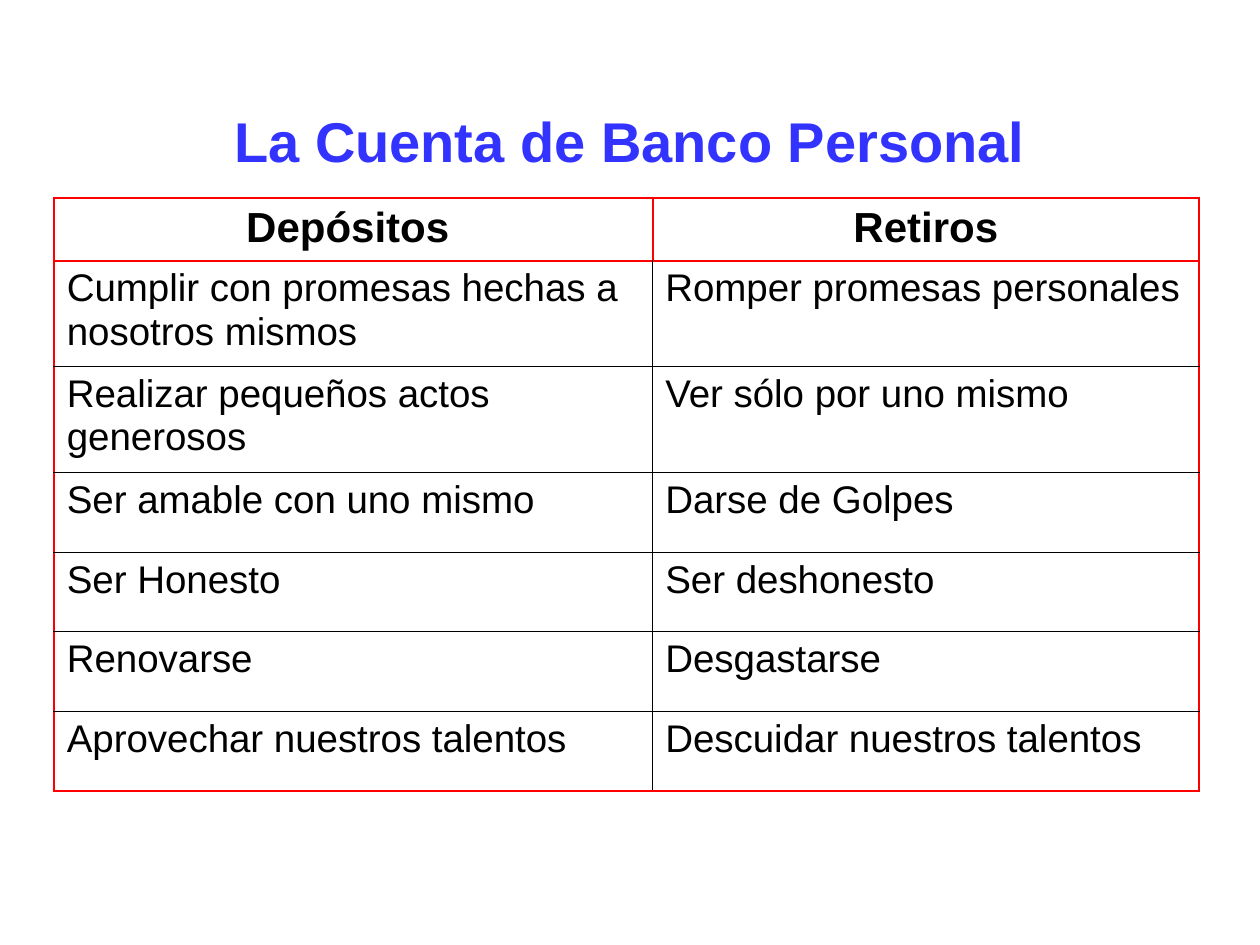
from lxml import etree
from pptx import Presentation
from pptx.dml.color import RGBColor
from pptx.enum.text import MSO_ANCHOR, PP_ALIGN
from pptx.oxml.ns import qn
from pptx.util import Pt

CENTER, LEFT = PP_ALIGN.CENTER, PP_ALIGN.LEFT
MIDDLE, TOP = MSO_ANCHOR.MIDDLE, MSO_ANCHOR.TOP
FONT = "Arial"
BLUE, RED, BLACK = "3333FF", "FF0000", "000000"
THICK, THIN = (RED, 1.47), (BLACK, 0.45)
WIDTHS = [342, 312]
HEIGHTS = [36, 60.5, 60.5] + [45.5] * 4
ROWS = [
    ("Depósitos ", "Retiros"),
    ("Cumplir con promesas hechas a nosotros mismos", "Romper promesas personales"),
    ("Realizar pequeños actos generosos", "Ver sólo por uno mismo"),
    ("Ser amable con uno mismo", "Darse de Golpes"),
    ("Ser Honesto", "Ser deshonesto"),
    ("Renovarse", "Desgastarse"),
    ("Aprovechar nuestros talentos", "Descuidar nuestros talentos"),
]


def color(code):
    return RGBColor.from_string(code)


def write(frame, text, size, code, bold, align, before=0):
    para = frame.paragraphs[0]
    para.alignment = align
    para.space_before = Pt(before)
    run = para.add_run()
    run.text = text
    run.font.name = FONT
    run.font.size = Pt(size)
    run.font.bold = bold
    run.font.color.rgb = color(code)


def border(cell, sides):
    props = cell._tc.get_or_add_tcPr()
    for spot, (side, (code, width)) in enumerate(sides.items()):
        line = etree.Element(qn("a:ln" + side), w=str(int(Pt(width))))
        fill = etree.SubElement(line, qn("a:solidFill"))
        etree.SubElement(fill, qn("a:srgbClr"), val=code)
        props.insert(spot, line)


def title(slide, left, top, width, height):
    box = slide.shapes.add_textbox(Pt(left), Pt(top), Pt(width), Pt(height))
    frame = box.text_frame
    frame.word_wrap = True
    frame.vertical_anchor = MIDDLE
    write(frame, "La Cuenta de Banco Personal", 32, BLUE, True, CENTER)


def ledger(slide, left, top, width, height):
    frame = slide.shapes.add_table(
        len(ROWS), len(WIDTHS), Pt(left), Pt(top), Pt(width), Pt(height)
    )
    table = frame.table
    table.horz_banding = False
    for col, size in zip(table.columns, WIDTHS):
        col.width = Pt(size)
    for row, size in zip(table.rows, HEIGHTS):
        row.height = Pt(size)
    for y, texts in enumerate(ROWS):
        head = y == 0
        for x, text in enumerate(texts):
            cell = table.cell(y, x)
            cell.fill.background()
            cell.vertical_anchor = TOP
            size, align, before = (24, CENTER, 6) if head else (22, LEFT, 5.5)
            write(cell.text_frame, text, size, BLACK, head, align, before)
            border(cell, {
                "L": THICK if head or x == 0 else THIN,
                "R": THICK if head or x == len(WIDTHS) - 1 else THIN,
                "T": THICK if y < 2 else THIN,
                "B": THICK if head or y == len(ROWS) - 1 else THIN,
            })


def main():
    deck = Presentation()
    deck.slide_width, deck.slide_height = Pt(720), Pt(540)
    slide = deck.slides.add_slide(deck.slide_layouts[6])
    title(slide, 54, 56, 612, 48)
    ledger(slide, 31, 113, sum(WIDTHS), sum(HEIGHTS))
    deck.save("out.pptx")


if __name__ == "__main__":
    main()
